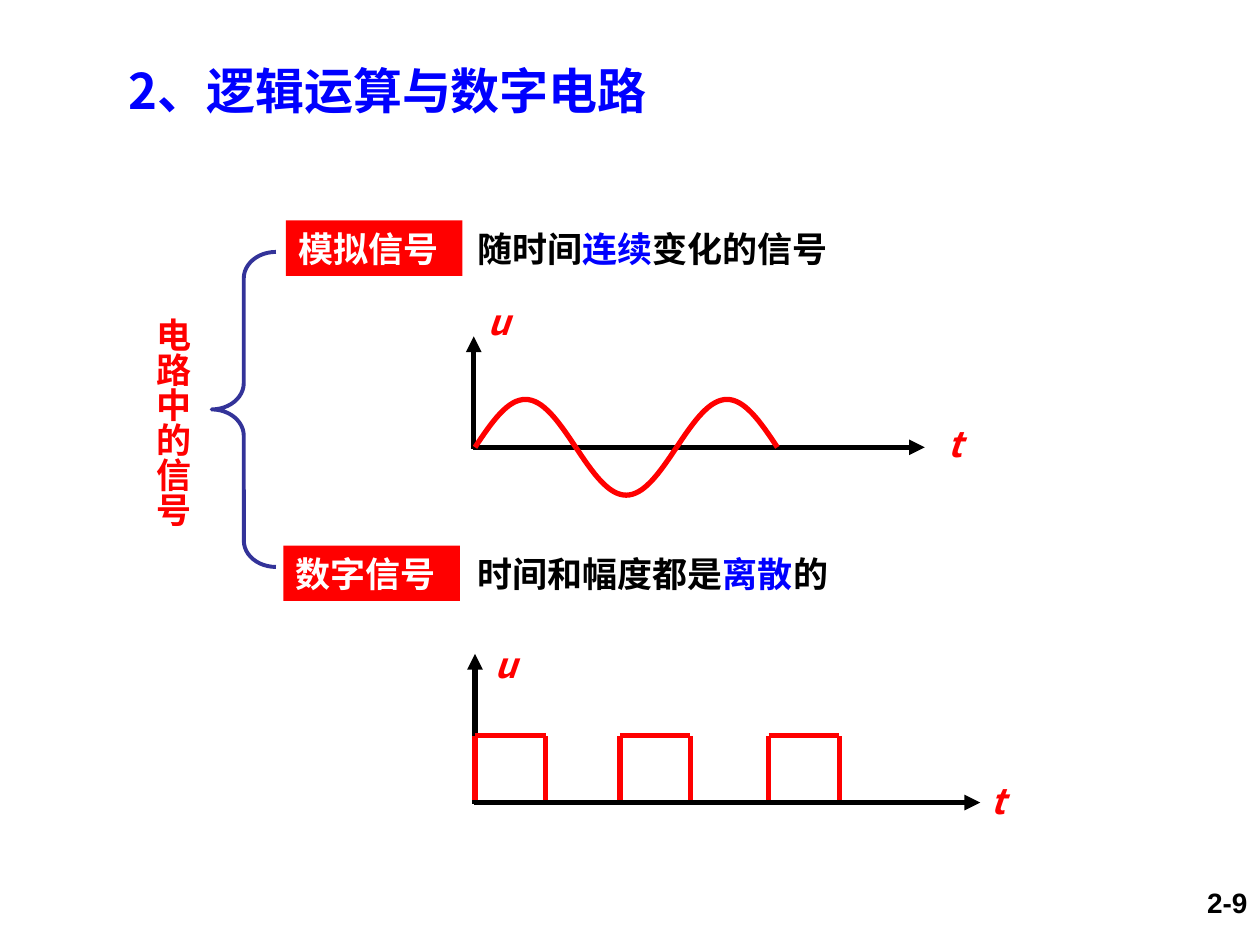
from math import pi, sin

from lxml.etree import SubElement
from pptx import Presentation
from pptx.dml.color import RGBColor
from pptx.enum.shapes import MSO_CONNECTOR, MSO_SHAPE
from pptx.enum.text import MSO_ANCHOR, MSO_AUTO_SIZE, PP_ALIGN
from pptx.oxml.ns import qn
from pptx.util import Pt

PX = 9144
BLACK = RGBColor(0, 0, 0)
WHITE = RGBColor(255, 255, 255)
RED = RGBColor(255, 0, 0)
BLUE = RGBColor(0, 0, 255)
INDIGO = RGBColor(0x33, 0x33, 0x99)
SANS = "Noto Sans CJK SC"


def write(sp, runs, size=20, font=SANS, align=PP_ALIGN.LEFT, italic=False):
    tf = sp.text_frame
    tf.word_wrap = True
    tf.auto_size = MSO_AUTO_SIZE.NONE
    tf.vertical_anchor = MSO_ANCHOR.MIDDLE
    p = tf.paragraphs[0]
    p.alignment = align
    p.font.size = Pt(size)
    p.font.bold = True
    p.font.italic = italic
    p.font.color.rgb = runs[0][1]
    p.font.name = font
    SubElement(p.font._element, qn("a:ea")).set("typeface", font)
    for text, color in runs:
        r = p.add_run()
        r.text = text
        if color != runs[0][1]:
            r.font.color.rgb = color
    return tf


def add_line(x1, y1, x2, y2, color, arrow=False):
    c = s.shapes.add_connector(
        MSO_CONNECTOR.STRAIGHT, x1 * PX, y1 * PX, x2 * PX, y2 * PX)
    c.line.color.rgb = color
    c.line.width = Pt(3)
    if arrow:
        SubElement(c.line._get_or_add_ln(), qn("a:tailEnd")).set("type", "triangle")
    SubElement(c._element.spPr, qn("a:effectLst"))


prs = Presentation()
prs.slide_width, prs.slide_height = 1000 * PX, 750 * PX
s = prs.slides.add_slide(prs.slide_layouts[5])

title = s.shapes.title
title.left, title.top, title.width, title.height = 92 * PX, 43 * PX, 600 * PX, 57 * PX
write(title, [("2、逻辑运算与数字电路", BLUE)], size=28)

sp = s.shapes.add_textbox(106 * PX, 242 * PX, 53 * PX, 358 * PX)
tf = write(sp, [("电路中的信号", RED)], align=PP_ALIGN.CENTER)
tf.vertical_anchor = MSO_ANCHOR.TOP
tf.margin_left = tf.margin_right = 5 * PX
tf.margin_top = tf.margin_bottom = 10 * PX
tf._txBody.bodyPr.set("vert", "eaVert")

brace = s.shapes.add_shape(MSO_SHAPE.LEFT_BRACE, 168 * PX, 200 * PX, 51 * PX, 250 * PX)
brace.adjustments[0] = 0.41
brace.fill.background()
brace.line.color.rgb = INDIGO
brace.line.width = Pt(2.25)
brace.shadow.inherit = False

for x, y, text in ((227, 175, "模拟信号"), (225, 433, "数字信号")):
    sp = s.shapes.add_shape(MSO_SHAPE.RECTANGLE, x * PX, y * PX, 140 * PX, 44 * PX)
    sp.fill.solid()
    sp.fill.fore_color.rgb = RED
    sp.line.fill.background()
    sp.shadow.inherit = False
    write(sp, [(text, WHITE)])

for y, width, runs in (
    (175, 506, [("随时间", BLACK), ("连续", BLUE), ("变化的信号", BLACK)]),
    (433, 475, [("时间和幅度都是", BLACK), ("离散", BLUE), ("的", BLACK)]),
):
    write(s.shapes.add_textbox(369 * PX, y * PX, width * PX, 44 * PX), runs)

for origin_x, origin_y, top, right in ((376, 355, 267, 734), (377, 637, 519, 778)):
    add_line(origin_x, origin_y + 1, origin_x, top, BLACK, arrow=True)
    add_line(origin_x - 1, origin_y, right, origin_y, BLACK, arrow=True)

for x, y, name in ((742, 330, "t"), (377, 233, "u"), (776, 613, "t"), (383, 505, "u")):
    sp = s.shapes.add_textbox(x * PX, y * PX, 50 * PX, 44 * PX)
    write(sp, [(name, RED)], italic=True)

STEPS = 32
LOBE_WIDTH, AMPLITUDE = 80, 38
for lobe in range(3):
    points = [
        ((377 + LOBE_WIDTH * (lobe + i / STEPS)) * PX,
         (355 - AMPLITUDE * sin(pi * (lobe + i / STEPS))) * PX)
        for i in range(STEPS + 1)
    ]
    builder = s.shapes.build_freeform(*points[0])
    builder.add_line_segments(points[1:], close=False)
    wave = builder.convert_to_shape()
    wave.fill.background()
    wave.line.color.rgb = RED
    wave.line.width = Pt(3)
    wave.shadow.inherit = False

PULSE_WIDTH, LOW, HIGH = 56, 635, 584
for x in (377, 492, 610):
    add_line(x, LOW, x, HIGH, RED)
    add_line(x + PULSE_WIDTH, LOW, x + PULSE_WIDTH, HIGH, RED)
    add_line(x, HIGH, x + PULSE_WIDTH, HIGH, RED)

sp = s.shapes.add_textbox(767 * PX, 698 * PX, 233 * PX, 52 * PX)
tf = write(sp, [("2-9", BLACK)], size=16, font="Arial", align=PP_ALIGN.RIGHT)
tf.vertical_anchor = MSO_ANCHOR.TOP

prs.save("out.pptx")
